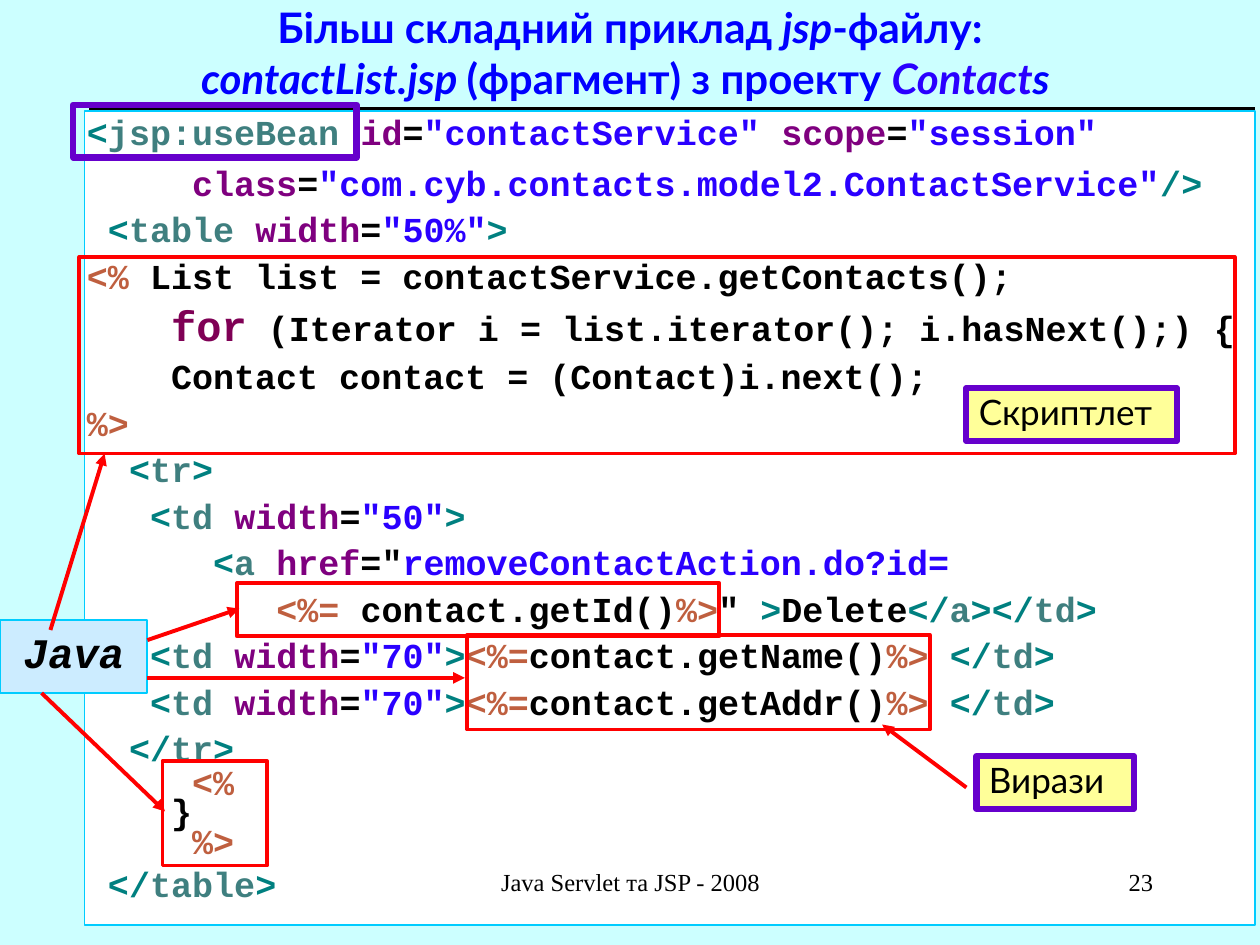
from lxml import etree
from pptx import Presentation
from pptx.dml.color import RGBColor
from pptx.enum.shapes import MSO_CONNECTOR, MSO_SHAPE
from pptx.enum.text import MSO_ANCHOR, PP_ALIGN
from pptx.oxml.ns import qn
from pptx.util import Inches, Pt

RECT = MSO_SHAPE.RECTANGLE
LINE = MSO_CONNECTOR.STRAIGHT
TOP, MIDDLE = MSO_ANCHOR.TOP, MSO_ANCHOR.MIDDLE
LEFT, CENTER, RIGHT = PP_ALIGN.LEFT, PP_ALIGN.CENTER, PP_ALIGN.RIGHT

SKY = RGBColor(0xCC, 0xFF, 0xFF)
BLUE = RGBColor(0x00, 0x00, 0xFF)
BLACK = RGBColor(0x00, 0x00, 0x00)
WHITE = RGBColor(0xFF, 0xFF, 0xFF)
CYAN = RGBColor(0x00, 0xCC, 0xFF)
PALE = RGBColor(0xCC, 0xEC, 0xFF)
RED = RGBColor(0xFF, 0x00, 0x00)
PURPLE = RGBColor(0x66, 0x00, 0xCC)
YELLOW = RGBColor(0xFF, 0xFF, 0x99)
MARK = RGBColor(0x00, 0x80, 0x80)
TAG = RGBColor(0x3F, 0x7F, 0x7F)
ATTR = RGBColor(0x7F, 0x00, 0x7F)
VALUE = RGBColor(0x2A, 0x00, 0xFF)
SCRIPT = RGBColor(0xBF, 0x5F, 0x3F)
KEY = RGBColor(0x7F, 0x00, 0x55)

CODE, SANS, SERIF = "Courier New", "Lato", "Times New Roman"


def add_run(para, text, color, size, face, bold=False, italic=False):
    run = para.add_run()
    run.text = text
    font = run.font
    font.name, font.size = face, Pt(size)
    font.bold, font.italic = bold, italic
    font.color.rgb = color


def set_frame(frame, insets, anchor=TOP):
    """Insets are left, top, right, bottom in inches."""
    frame.word_wrap = True
    frame.vertical_anchor = anchor
    (frame.margin_left, frame.margin_top,
     frame.margin_right, frame.margin_bottom) = map(Inches, insets)


def add_box(slide, at, line, width, fill=None):
    box = slide.shapes.add_shape(RECT, *map(Inches, at))
    box.shadow.inherit = False
    if fill is None:
        box.fill.background()
    else:
        box.fill.solid()
        box.fill.fore_color.rgb = fill
    box.line.color.rgb = line
    box.line.width = Pt(width)
    return box


def add_line(slide, start, end, color, width, arrow=False):
    line = slide.shapes.add_connector(LINE, *map(Inches, start + end))
    line.line.color.rgb = color
    line.line.width = Pt(width)
    props = line._element.spPr
    if arrow:
        etree.SubElement(props.find(qn("a:ln")), qn("a:tailEnd"), type="triangle")
    etree.SubElement(props, qn("a:effectLst"))


def add_label(slide, at, text):
    box = add_box(slide, at, PURPLE, 3.5, YELLOW)
    set_frame(box.text_frame, (0.1, 0.02, 0.1, 0.05))
    para = box.text_frame.paragraphs[0]
    para.alignment = LEFT
    add_run(para, text, BLACK, 20, SANS)


def add_note(slide, at, text, align):
    frame = slide.shapes.add_textbox(*map(Inches, at)).text_frame
    set_frame(frame, (0.1, 0.05, 0.1, 0.05))
    para = frame.paragraphs[0]
    para.alignment = align
    add_run(para, text, BLACK, 14, SERIF)


def add_title(slide):
    title = slide.shapes.title
    title.left, title.top, title.width, title.height = map(Inches, (0, 0, 10, 0.83))
    set_frame(title.text_frame, (0.1, 0.05, 0.1, 0.05), MIDDLE)
    para = title.text_frame.paragraphs[0]
    para.alignment = CENTER
    rows = [
        [("Більш складний приклад ", BLUE, False), ("jsp", BLUE, True),
         ("-файлу:", BLUE, False)],
        [("contactList.jsp ", BLUE, True), ("(фрагмент) з проекту ", BLUE, False),
         ("Contact", VALUE, True), ("s ", BLUE, True)],
    ]
    for num, row in enumerate(rows):
        if num:
            para.add_line_break()
        for text, color, italic in row:
            add_run(para, text, color, 24, SANS, True, italic)


def attr(name, value):
    return [(name, ATTR), ("=", BLACK), (value, VALUE)]


def opened(name, *rest):
    return [("<", MARK), (name, TAG), *rest, (">", MARK)]


def closed(name):
    return [("</", MARK), (name, TAG), (">", MARK)]


def shown(call):
    return [("<%=", SCRIPT), (call, BLACK), ("%>", SCRIPT)]


def pad(count):
    return (" " * count, BLACK)


def cell(call):
    return [pad(3), *opened("td ", *attr("width", '"70"')), *shown(call),
            pad(1), *closed("td")]


def code_rows():
    """Pairs of line spacing and coloured runs."""
    full = [
        [("<", MARK), ("jsp:useBean ", TAG), *attr("id", '"contactService" '),
         *attr("scope", '"session"')],
        [pad(5), *attr("class", '"com.cyb.contacts.model2.ContactService"'),
         ("/>", MARK)],
    ]
    main = [
        [pad(1), *opened("table ", *attr("width", '"50%"'))],
        [("<% ", SCRIPT), ("List list = contactService.getContacts();", BLACK)],
        [pad(4), ("for", KEY), (" (Iterator i = list.iterator(); i.hasNext();) {", BLACK)],
        [("    Contact contact = (Contact)i.next();", BLACK)],
        [("%>", SCRIPT)],
        [pad(2), *opened("tr")],
        [pad(3), *opened("td ", *attr("width", '"50"'))],
        [pad(6), ("<", MARK), ("a ", TAG), ("href", ATTR), ('="', BLACK),
         ("removeContactAction.do?id=", VALUE)],
        [pad(9), *shown(" contact.getId()"), ('" ', BLACK), (">", MARK),
         ("Delete", BLACK), *closed("a"), *closed("td")],
        cell("contact.getName()"),
        cell("contact.getAddr()"),
        [pad(2), *closed("tr")],
    ]
    tight = [[pad(5), ("<%", SCRIPT)], [("    }", BLACK)], [pad(5), ("%>", SCRIPT)]]
    last = [[pad(1), *closed("table")]]
    groups = [(1.0, full), (0.9, main), (0.5, tight), (0.9, last)]
    return [(gap, row) for gap, rows in groups for row in rows]


def add_code(slide):
    box = add_box(slide, (0.67, 0.88, 9.29, 6.46), CYAN, 1, WHITE)
    frame = box.text_frame
    set_frame(frame, (0.02, 0, 0, 0.01))
    for num, (gap, row) in enumerate(code_rows()):
        para = frame.add_paragraph() if num else frame.paragraphs[0]
        para.alignment = LEFT
        para.line_spacing = gap
        para.space_before = Pt(5 if num else 0)
        for text, color in row:
            add_run(para, text, color, 24 if color == KEY else 20, CODE, True)


def add_java(slide):
    box = add_box(slide, (0, 4.92, 1.17, 0.58), CYAN, 1, PALE)
    set_frame(box.text_frame, (0.1, 0.05, 0.1, 0.05))
    para = box.text_frame.paragraphs[0]
    para.alignment = CENTER
    add_run(para, "Java", BLACK, 24, CODE, True, True)


def main():
    deck = Presentation()
    deck.slide_width, deck.slide_height = Inches(10), Inches(7.5)
    slide = deck.slides.add_slide(deck.slide_layouts[5])
    slide.background.fill.solid()
    slide.background.fill.fore_color.rgb = SKY

    add_title(slide)
    add_line(slide, (0.71, 0.88), (9.96, 0.88), BLACK, 4.5)
    add_code(slide)
    for at in [(0.63, 2.04, 9.17, 1.56), (1.88, 4.63, 3.83, 0.42),
               (1.29, 6.04, 0.83, 0.83), (3.71, 5.04, 3.67, 0.75)]:
        add_box(slide, at, RED, 2.25)
    add_java(slide)
    for start, end in [((0.4, 5), (0.83, 3.6)), ((1.17, 5.38), (3.69, 5.38)),
                       ((1.17, 5.08), (1.9, 4.83)), ((0.33, 5.5), (1.31, 6.44)),
                       ((7.67, 6.25), (7, 5.75))]:
        add_line(slide, start, end, RED, 2.25, True)
    add_box(slide, (0.58, 0.83, 2.25, 0.42), PURPLE, 3.5)
    add_label(slide, (7.67, 3.08, 1.67, 0.42), "Скриптлет")
    add_label(slide, (7.75, 6, 1.25, 0.42), "Вирази")
    add_note(slide, (3.42, 6.83, 3.17, 0.5), "Java Servlet та JSP - 2008", CENTER)
    add_note(slide, (7.17, 6.83, 2.08, 0.5), "23", RIGHT)
    deck.save("out.pptx")


if __name__ == "__main__":
    main()
